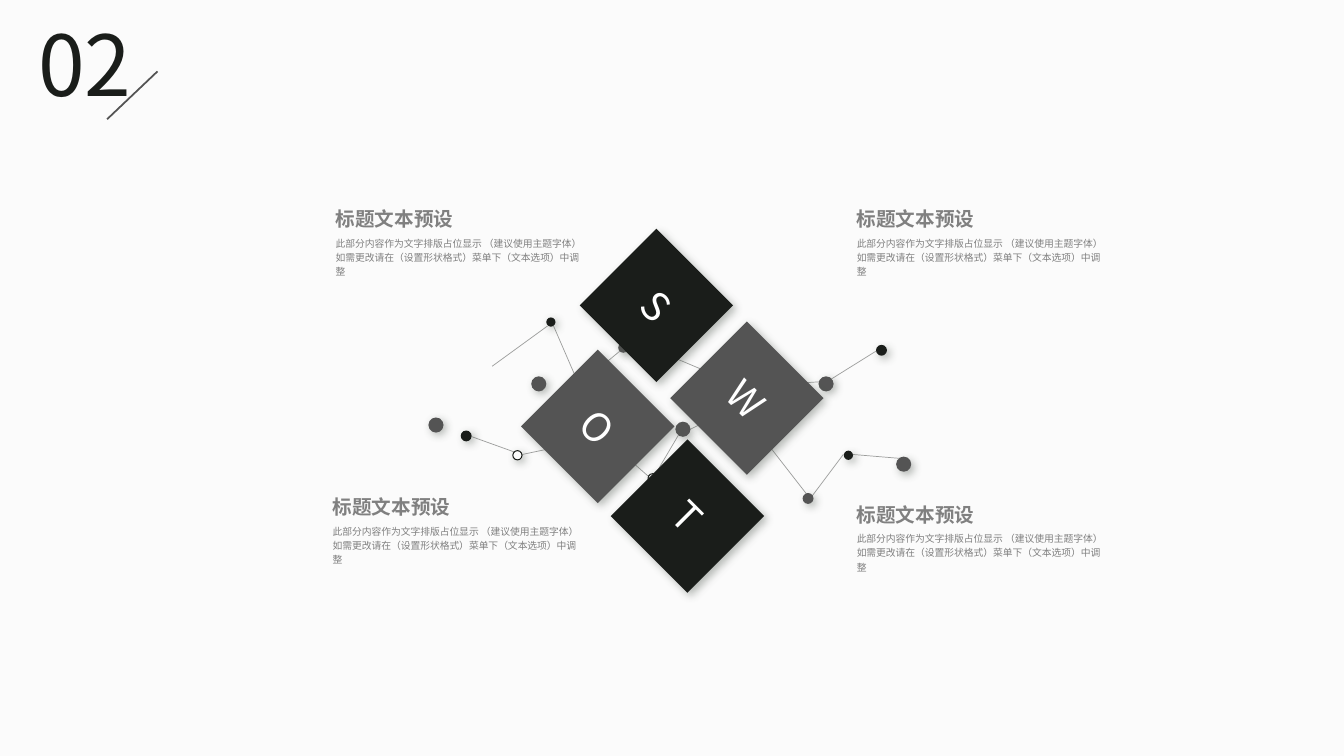
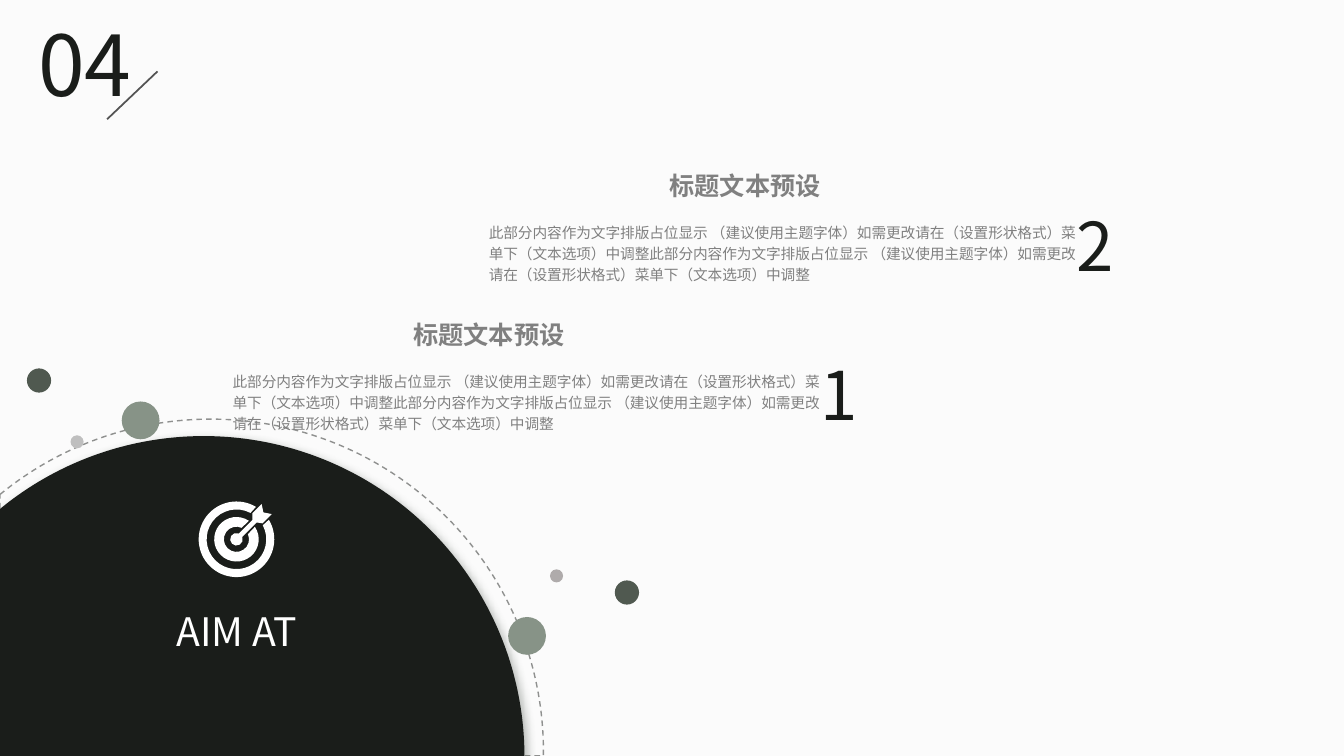
import math

from lxml import etree
from pptx import Presentation
from pptx import util as u
from pptx.dml.color import RGBColor
from pptx.enum import dml, shapes, text
from pptx.oxml.ns import qn

# The slide is a grid of square cells, twelve to the inch
COLUMNS, ROWS = 160, 90
FONT = "Noto Sans CJK SC"
COLORS = {
    "paper": "FBFBFB", "ink": "1A1D1A", "gray": "545454", "text": "808080",
    "white": "FFFFFF", "moss": "505950", "sage": "879387",
    "silver": "BFBFBF", "ash": "AFABAB",
}
HEADING = "标题文本预设"
BODY = ("此部分内容作为文字排版占位显示 （建议使用主题字体）如需更改请在"
        "（设置形状格式）菜单下（文本选项）中调整")
MIDDLE = text.MSO_ANCHOR.MIDDLE
CENTER = text.PP_ALIGN.CENTER


def cells(count):
    return u.Inches(count / 12)


def rgb(name):
    return RGBColor.from_string(COLORS[name])


# Shared styling
def set_opacity(item, percent):
    for color in item._element.spPr.iter(qn("a:srgbClr")):
        etree.SubElement(color, qn("a:alpha"), val=str(percent * 1000))


def add_shadow(shape):
    effects = shape._element.spPr.find(qn("a:effectLst"))
    shadow = etree.SubElement(
        effects, qn("a:outerShdw"), blurRad=str(u.Pt(6)), dist=str(u.Pt(3)),
        dir=str(45 * 60000), algn="tl", rotWithShape="0")
    color = etree.SubElement(shadow, qn("a:srgbClr"), val=COLORS["moss"])
    etree.SubElement(color, qn("a:alpha"), val="40000")


def paint(shape, fill=None, line=None, width=1, shadow=False):
    shape.shadow.inherit = False
    if fill:
        shape.fill.solid()
        shape.fill.fore_color.rgb = rgb(fill)
    else:
        shape.fill.background()
    if line:
        shape.line.color.rgb = rgb(line)
        shape.line.width = u.Pt(width)
    else:
        shape.line.fill.background()
    if shadow:
        add_shadow(shape)
    return shape


def add_span(para, wording, size, color, bold=False):
    span = para.add_run()
    span.text = wording
    span.font.size = u.Pt(size)
    span.font.bold = bold
    span.font.color.rgb = rgb(color)
    span.font.name = FONT
    etree.SubElement(span._r.get_or_add_rPr(), qn("a:ea"), typeface=FONT)


def add_text(page, left, top, width, height, wording, size, color, bold=False,
             align=None, anchor=None, wrap=True, inset=True, spacing=None):
    box = page.shapes.add_textbox(*map(cells, (left, top, width, height)))
    frame = box.text_frame
    frame.word_wrap = wrap
    if anchor is not None:
        frame.vertical_anchor = anchor
    if not inset:
        frame.margin_left = frame.margin_right = 0
        frame.margin_top = frame.margin_bottom = 0
    para = frame.paragraphs[0]
    para.alignment = align
    para.line_spacing = spacing
    add_span(para, wording, size, color, bold)


def add_line(page, x1, y1, x2, y2, color, width):
    line = page.shapes.add_connector(
        shapes.MSO_CONNECTOR.STRAIGHT, *map(cells, (x1, y1, x2, y2)))
    line.line.color.rgb = rgb(color)
    line.line.width = u.Pt(width)
    etree.SubElement(line._element.spPr, qn("a:effectLst"))
    return line


def add_centered(page, kind, x, y, size):
    return page.shapes.add_shape(
        kind, cells(x - size / 2), cells(y - size / 2), cells(size), cells(size))


def add_dot(page, x, y, size, fill, **style):
    dot = add_centered(page, shapes.MSO_SHAPE.OVAL, x, y, size)
    return paint(dot, fill, **style)


# Curved outlines: a contour is a list of steps, each holding one point
# (a straight line) or three points (a Bezier curve)
def arc(x, y, radius, first, last):
    """Return a line to the arc's start, then its curves, in degrees."""
    def point(angle, reach=0):
        cos, sin = math.cos(angle), math.sin(angle)
        return (x + radius * (cos - reach * sin), y - radius * (sin + reach * cos))

    count = math.ceil(abs(last - first) / 90)
    sweep = math.radians(last - first) / count
    reach = 4 / 3 * math.tan(sweep / 4)
    starts = [math.radians(first) + sweep * piece for piece in range(count)]
    return [[point(starts[0])]] + [
        [point(start, reach), point(start + sweep, -reach), point(start + sweep)]
        for start in starts]


def add_outline(page, contours):
    builder = None
    for contour in contours:
        points = [(cells(x), cells(y)) for step in contour for x, y in step]
        if builder is None:
            builder = page.shapes.build_freeform(*points[0], scale=1.0)
        else:
            builder.move_to(*points[0])
        builder.add_line_segments(points[1:], close=True)
    shape = builder.convert_to_shape()
    # Join the three points of every curve into one segment
    lines = iter(list(shape._element.spPr.iter(qn("a:lnTo"))))
    for contour in contours:
        for step in contour[1:]:
            parts = [next(lines) for _ in step]
            if len(parts) == 3:
                curve = etree.Element(qn("a:cubicBezTo"))
                parts[0].addprevious(curve)
                for part in parts:
                    curve.append(part[0])
                    part.getparent().remove(part)
    return shape


def section_number(page, number):
    add_text(page, 3.36, 0.9, 13.7, 13.3, number, 60, "ink")
    add_line(page, 18.75, 8.5, 12.75, 14.2, "gray", 1.25)


# SWOT slide
LINKS = [
    (45.4, 22.6, 43, 27.7), (38.2, 25.3, 42.6, 28.2),
    (36.2, 20.2, 37.7, 25.4), (25.8, 17.3, 31.1, 17.6),
    (50.4, 21.4, 45.8, 21.7), (50.2, 21.6, 56.3, 17.8),
    (36.8, 25.8, 33.6, 27.4), (14.2, 30.1, 23.2, 28.2),
    (8.2, 28, 13.2, 29.8), (29.3, 32.8, 23.6, 27.8),
    (30, 32.5, 33, 27.4), (53.5, 30.1, 59.5, 30.6),
    (48.5, 35.3, 52.4, 30.1), (48.4, 35.3, 42.8, 28.1),
    (25.8, 17.8, 21.2, 21.6), (31.8, 18.4, 35.6, 20),
    (10.6, 19.6, 17.2, 14.8), (20.8, 21.5, 17.9, 14.8),
]
NODES = {
    "ink": [(56.94, 17.7, 1.3), (53, 30.2, 1.1), (17.58, 14.34, 1.1),
            (7.5, 27.9, 1.3), (45.8, 22.1, 1.3), (20.8, 22.1, 1.3)],
    "gray": [(50.34, 21.7, 1.8), (59.58, 31.26, 1.8), (48.2, 35.34, 1.3),
             (3.9, 26.6, 1.8), (16.14, 21.7, 1.8), (26.2, 17.4, 1.2),
             (42.4, 28.1, 1.8), (28.7, 25.6, 1.4), (24.1, 28.1, 1.8),
             (33.3, 27.1, 1.8)],
    "paper": [(13.6, 30.2, 1.1), (29.7, 32.94, 1.1), (36.2, 20, 1.1),
              (31.5, 18.1, 1.1), (37.9, 25.6, 1.6)],
}
DIAMONDS = [("W", 40.92, 23.4, "gray"), ("T", 33.84, 37.44, "ink"),
            ("S", 30.14, 12.36, "ink"), ("O", 23.16, 26.76, "gray")]


def network(page, left, top):
    add_line(page, left + 38.2, top + 25.3, left + 42.6, top + 28.2,
             "silver", 0.5)
    for x1, y1, x2, y2 in LINKS:
        link = add_line(page, left + x1, top + y1, left + x2, top + y2,
                        "ink", 0.5)
        set_opacity(link, 41)
    for fill, nodes in NODES.items():
        edge = "ink" if fill == "paper" else None
        for x, y, size in nodes:
            add_dot(page, left + x, top + y, size, fill,
                    line=edge, width=0.75, shadow=True)


def diamonds(page, left, top):
    for letter, x, y, fill in DIAMONDS:
        tile = add_centered(page, shapes.MSO_SHAPE.RECTANGLE,
                            left + x, top + y, 12.92)
        paint(tile, fill, shadow=True)
        tile.rotation = 45
        tile.text_frame.vertical_anchor = MIDDLE
        para = tile.text_frame.paragraphs[0]
        para.alignment = CENTER
        add_span(para, letter, 28, "white")


def caption(page, left, top):
    add_text(page, left, top, 29.5, 2.75, HEADING, 14, "text", bold=True,
             anchor=MIDDLE, wrap=False, inset=False)
    add_text(page, left, top + 2.75, 29.5, 6.1, BODY, 7, "text",
             anchor=MIDDLE, inset=False, spacing=1.2)


def swot_slide(page):
    network(page, 48, 24)
    diamonds(page, 48, 24)
    section_number(page, "02")
    for left, top in [(39.96, 24.72), (39.6, 59), (102, 59.9), (102, 24.7)]:
        caption(page, left, top)


# Aim slide
BUBBLES = [(16.74, 8.04, 4.5, "sage"), (4.65, 3.3, 2.88, "moss"),
           (9.18, 10.6, 1.56, "silver"), (62.74, 33.7, 4.5, "sage"),
           (74.64, 28.54, 2.88, "moss"), (66.26, 26.56, 1.56, "ash")]
ARROW = [(0.2, -0.6), (1.9, -2.3), (1.9, -3.1), (3, -4.2), (3.2, -3.2),
         (4.2, -3), (3.1, -1.9), (2.4, -2), (0.6, -0.2)]


def add_dome(page, x, y, radius, left, floor):
    """Draw a disc cut off at a left edge and at a floor."""
    first = math.degrees(math.acos((left - x) / radius))
    last = math.degrees(math.asin((y - floor) / radius))
    return add_outline(page, [arc(x, y, radius, first, last) + [[(left, floor)]]])


def broken_ring(x, y, outer, outer_gap, inner, inner_gap):
    """Return a ring that is open towards the upper right."""
    return (arc(x, y, outer, 45 + outer_gap, 405 - outer_gap)
            + arc(x, y, inner, 405 - inner_gap, 45 + inner_gap))


def target(page, x, y):
    arrow = [[(x + dx, y + dy)] for dx, dy in ARROW]
    paint(add_outline(page, [
        arrow + arc(x, y, 0.75, 18, -288),
        broken_ring(x, y, 4.5, 14, 3.55, 17),
        broken_ring(x, y, 2.65, 11, 1.5, 21),
    ]), "white")


def aim_dome(page, left, top):
    orbit = add_dome(page, left + 25.1, top + 47.5, 39.6, left, ROWS)
    paint(orbit, line="ink")
    orbit.line.dash_style = dml.MSO_LINE.DASH
    set_opacity(orbit, 48)
    dome = add_dome(page, left + 24.24, top + 48.12, 38.2, left - 3.84, ROWS + 1.1)
    paint(dome, "ink", shadow=True)
    for x, y, size, fill in BUBBLES:
        add_dot(page, left + x, top + y, size, fill)
    add_text(page, left + 15.75, top + 29.72, 24.84, 6.8, "AIM AT", 28, "white",
             align=CENTER)
    target(page, left + 28.15, top + 22.2)


def numbered_block(page, left, top, number):
    add_text(page, left + 66.2, top + 3.5, 12, 10.9, number, 48, "ink",
             align=CENTER)
    add_text(page, left, top + 5.65, 70.6, 8.2, BODY * 2, 10.5, "text",
             anchor=MIDDLE, inset=False, spacing=1.2)
    add_text(page, left + 21.5, top, 18.1, 5.4, HEADING, 18, "text", bold=True,
             wrap=False, inset=False)


def aim_slide(page):
    aim_dome(page, 0, 42)
    section_number(page, "04")
    numbered_block(page, 27.7, 38.02, "1")
    numbered_block(page, 58.2, 20.28, "2")


def main():
    deck = Presentation()
    deck.slide_width, deck.slide_height = cells(COLUMNS), cells(ROWS)
    backdrop = deck.slide_master.background.fill
    backdrop.solid()
    backdrop.fore_color.rgb = rgb("paper")
    for build in (swot_slide, aim_slide):
        build(deck.slides.add_slide(deck.slide_layouts[6]))
    deck.save("out.pptx")


if __name__ == "__main__":
    main()
